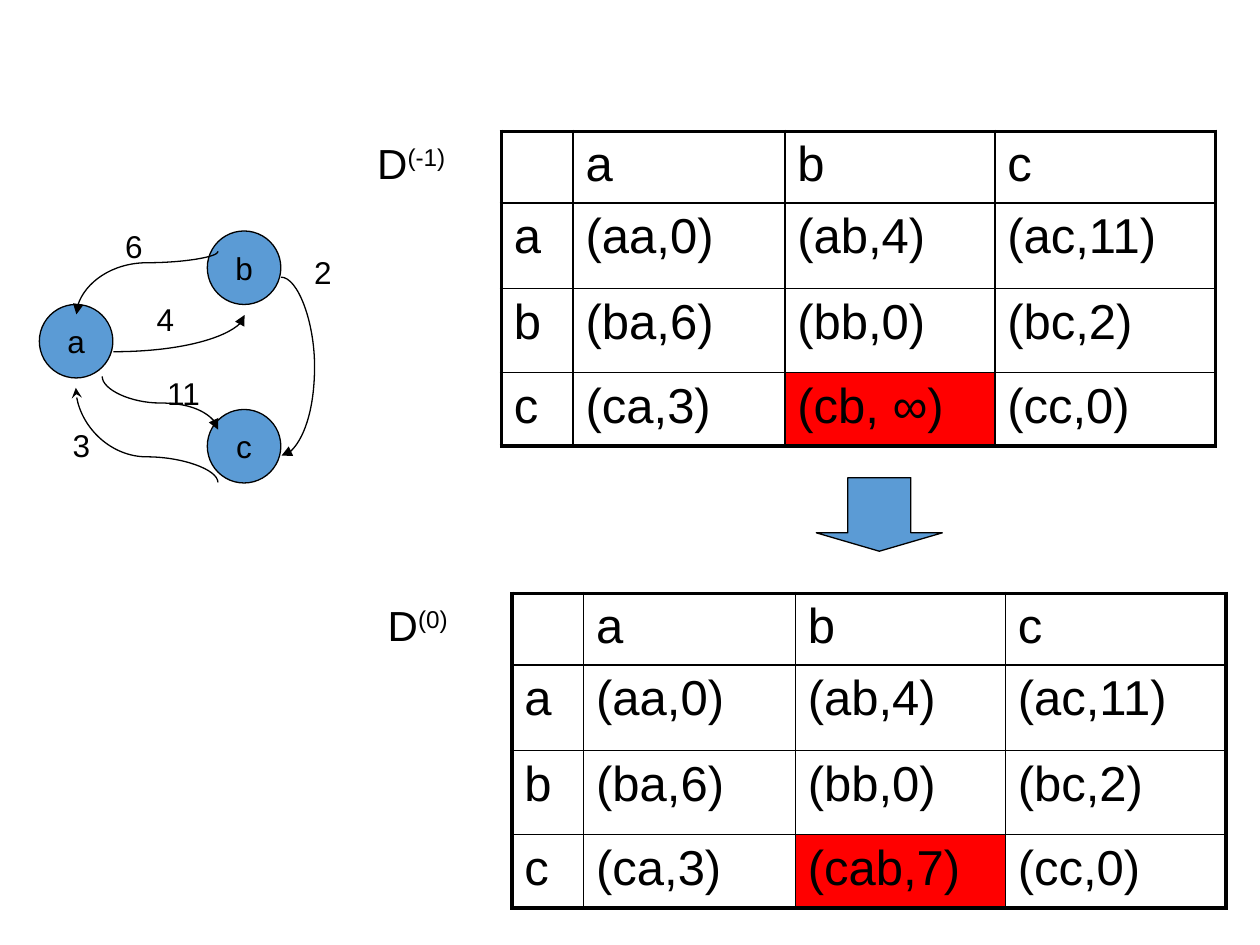
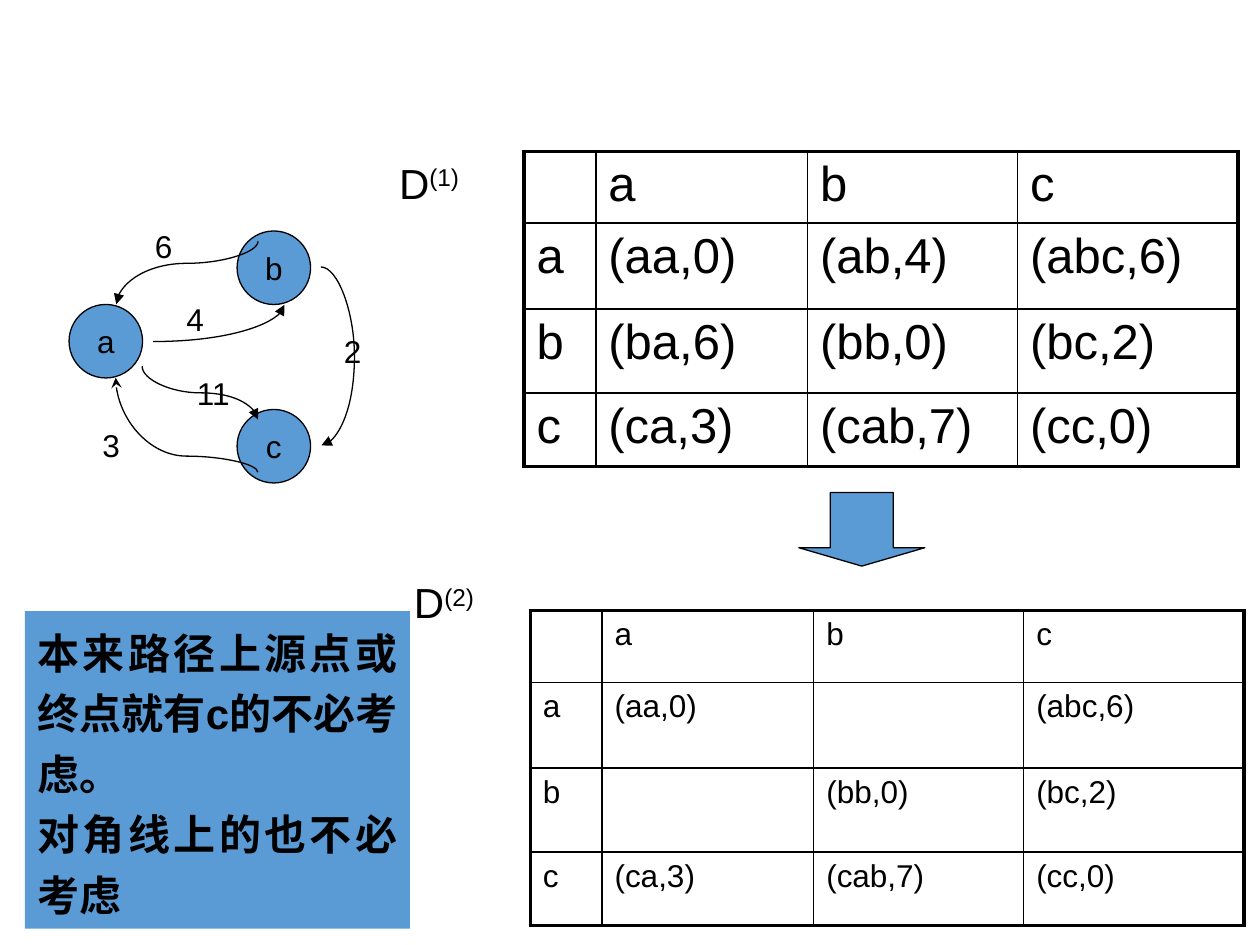
"""Two slides on Floyd's all-pairs shortest paths: a three-node graph and its D matrices."""
import pptx
import pptx.dml.color
import pptx.enum.shapes
import pptx.enum.text
import pptx.oxml
import pptx.oxml.ns
import pptx.util

Pt = pptx.util.Pt
RGBColor = pptx.dml.color.RGBColor
SHAPES = pptx.enum.shapes.MSO_SHAPE
ALIGN = pptx.enum.text.PP_ALIGN
ANCHOR = pptx.enum.text.MSO_ANCHOR
qn = pptx.oxml.ns.qn

BLACK = RGBColor(0x00, 0x00, 0x00)
BLUE = RGBColor(0x5B, 0x9B, 0xD5)
RED = RGBColor(0xFF, 0x00, 0x00)
FONT = "Arial"
NODES = "abc"
NODE_SIZE = 42
COLUMN_WIDTHS = (41, 121, 120, 126)
ROW_HEIGHTS = (41, 49, 48, 42)
NODE_PLACES = {"a": (22.5, 174), "b": (118.5, 132), "c": (118.5, 234)}
LABEL_PLACES = {"11": (88.5, 210), "6": (64.5, 126), "4": (82.5, 168), "3": (34.5, 240)}


def write(paragraph, text, size=18, bold=False, raised=0, align=None):
    """Append a formatted run to a paragraph."""
    run = paragraph.add_run()
    run.text = text
    run.font.name = FONT
    run.font.size = Pt(size)
    run.font.bold = bold
    run.font.color.rgb = BLACK
    if raised:
        run._r.get_or_add_rPr().set("baseline", str(raised * 1000))
    if align is not None:
        paragraph.alignment = align


def add_xml(parent, tag, **attributes):
    """Append a DrawingML child element."""
    child = pptx.oxml.parse_xml(f'<a:{tag} {pptx.oxml.ns.nsdecls("a")}/>')
    for name, value in attributes.items():
        child.set(name, str(value))
    parent.append(child)
    return child


class Deck:
    """Hold the style and the current slide."""

    def __init__(self):
        self.presentation = pptx.Presentation()
        self.presentation.slide_width = Pt(720)
        self.presentation.slide_height = Pt(540)
        self.slide = None

    def new_slide(self):
        """Start a blank slide."""
        self.slide = self.presentation.slides.add_slide(self.presentation.slide_layouts[6])

    def shape(self, kind, left, top, width, height, outlined=True):
        """Draw a blue preset shape."""
        shape = self.slide.shapes.add_shape(kind, Pt(left), Pt(top), Pt(width), Pt(height))
        shape.shadow.inherit = False
        shape.fill.solid()
        shape.fill.fore_color.rgb = BLUE
        if outlined:
            shape.line.color.rgb = BLACK
            shape.line.width = Pt(0.75)
        else:
            shape.line.fill.background()
        return shape

    def node(self, name, left, top):
        """Draw a graph node."""
        frame = self.shape(SHAPES.OVAL, left, top, NODE_SIZE, NODE_SIZE).text_frame
        frame.word_wrap = False
        frame.vertical_anchor = ANCHOR.MIDDLE
        write(frame.paragraphs[0], name, align=ALIGN.CENTER)

    def step_arrow(self, left, top):
        """Draw the block arrow between two matrices."""
        arrow = self.shape(SHAPES.DOWN_ARROW, left, top, 72, 42)
        arrow.adjustments[0] = 0.5
        arrow.adjustments[1] = 0.25

    def text_box(self, left, top, width, height):
        """Add a wrapping text box and return its first paragraph."""
        box = self.slide.shapes.add_textbox(Pt(left), Pt(top), Pt(width), Pt(height))
        box.text_frame.word_wrap = True
        return box.text_frame.paragraphs[0]

    def weight(self, text, left, top):
        """Label an edge with its weight."""
        write(self.text_box(left, top, 36, 29), text)

    def edge(self, left, top, width, height, turn=0, flip="", bend=None,
             end="tailEnd", head="triangle"):
        """Draw a curved edge; the frame is given before turning."""
        curve = self.slide.shapes.add_connector(
            pptx.enum.shapes.MSO_CONNECTOR.CURVE,
            Pt(left), Pt(top), Pt(left + width), Pt(top + height))
        curve.line.color.rgb = BLACK
        curve.line.width = Pt(0.75)
        properties = curve._element.spPr
        frame = properties.find(qn("a:xfrm"))
        frame.set("rot", str(turn * 60000))
        for axis in flip:
            frame.set("flip" + axis, "1")
        geometry = properties.find(qn("a:prstGeom"))
        if bend is None:
            geometry.set("prst", "curvedConnector2")
        else:
            add_xml(geometry.find(qn("a:avLst")), "gd", name="adj1",
                    fmla=f"val {round(bend * 100000)}")
        add_xml(properties.find(qn("a:ln")), end, type=head)
        add_xml(properties, "effectLst")

    def graph(self, shift, edge_shift, bend_ba, bend_ca, weight_bc):
        """Draw the weighted graph."""
        dx, dy = edge_shift
        for name, (left, top) in NODE_PLACES.items():
            self.node(name, left + shift, top)
        self.edge(64.8 + dx, 180 + dy, 75, 21, flip="V")
        self.edge(66.2 + dx, 121.2 + dy, 36, 81, 270, "HV", bend_ba)
        self.edge(76.3 + dx, 197.2 + dy, 30.4, 66.2, 90, "V", 0.5)
        self.edge(56.9 + dx, 208 + dy, 54, 81.2, 90, "V", bend_ca, "headEnd", "stealth")
        self.edge(160.6 + dx, 158.4 + dy, 0.25, 102, bend=75)
        for text, (left, top) in LABEL_PLACES.items():
            self.weight(text, left + shift, top)
        self.weight("2", *weight_bc)

    def matrix_name(self, step, left, top):
        """Write D with its step raised."""
        paragraph = self.text_box(left, top, 72, 36)
        write(paragraph, "D", size=24)
        write(paragraph, f"({step})", size=24, raised=30)

    def matrix(self, left, top, paths, size=28, changed=None):
        """Draw a distance matrix with a heavy frame."""
        rows = [["", *NODES]] + [[name, *row] for name, row in zip(NODES, paths)]
        last = len(rows) - 1
        table = self.slide.shapes.add_table(
            len(rows), len(rows), Pt(left), Pt(top),
            Pt(sum(COLUMN_WIDTHS)), Pt(sum(ROW_HEIGHTS))).table
        table.first_row = table.horz_banding = False
        for column, width in zip(table.columns, COLUMN_WIDTHS):
            column.width = Pt(width)
        for row, height in zip(table.rows, ROW_HEIGHTS):
            row.height = Pt(height)
        for r, row in enumerate(rows):
            for c, text in enumerate(row):
                cell = table.cell(r, c)
                outer = {"lnL": c == 0, "lnR": c == last, "lnT": r == 0, "lnB": r == last}
                for side, heavy in outer.items():
                    border = add_xml(cell._tc.get_or_add_tcPr(), side,
                                     w=Pt(2.25 if heavy else 1))
                    add_xml(add_xml(border, "solidFill"), "srgbClr", val=BLACK)
                if (r, c) == changed:
                    cell.fill.solid()
                    cell.fill.fore_color.rgb = RED
                else:
                    cell.fill.background()
                if text:
                    write(cell.text_frame.paragraphs[0], text, size=size)

    def remark(self, lines, left, top, width, height):
        """Write bold justified lines on a blue panel."""
        frame = self.shape(SHAPES.RECTANGLE, left, top, width, height, outlined=False).text_frame
        frame.word_wrap = True
        frame.vertical_anchor = ANCHOR.TOP
        for index, line in enumerate(lines):
            paragraph = frame.add_paragraph() if index else frame.paragraphs[0]
            paragraph.line_spacing = 1.2
            write(paragraph, line, size=24, bold=True, align=ALIGN.JUSTIFY)


def main():
    """Build and save both slides."""
    deck = Deck()
    from_a = ["(aa,0)", "(ab,4)", "(ac,11)"]
    from_a_via_b = ["(aa,0)", "(ab,4)", "(abc,6)"]
    from_b = ["(ba,6)", "(bb,0)", "(bc,2)"]
    from_c = ["(ca,3)", "(cb, ∞)", "(cc,0)"]
    from_c_via_a = ["(ca,3)", "(cab,7)", "(cc,0)"]

    deck.new_slide()
    deck.graph(0, (0, 0), 0.18, 0.73, (172.5, 141))
    deck.matrix(286.5, 75, [from_a, from_b, from_c], changed=(3, 2))
    deck.matrix_name(-1, 208.5, 75)
    deck.matrix(292.5, 339, [from_a, from_b, from_c_via_a], changed=(3, 2))
    deck.matrix_name(0, 214.5, 339)
    deck.step_arrow(466.5, 273)

    deck.new_slide()
    deck.graph(17, (22.8, -5.8), 0.35, 0.83, (189.5, 186))
    unaffected_by_c = [["(aa,0)", "", "(abc,6)"], ["", "(bb,0)", "(bc,2)"], from_c_via_a]
    deck.matrix(303, 349, unaffected_by_c, size=18)
    deck.matrix_name(2, 229.5, 326)
    deck.step_arrow(456.5, 281.5)
    deck.matrix(299.5, 86.5, [from_a_via_b, from_b, from_c_via_a])
    deck.matrix_name(1, 221, 86.5)
    deck.remark(["本来路径上源点或终点就有c的不必考虑。", "对角线上的也不必考虑"],
                14.2, 349.2, 220, 181.5)

    deck.presentation.save("out.pptx")


if __name__ == "__main__":
    main()
